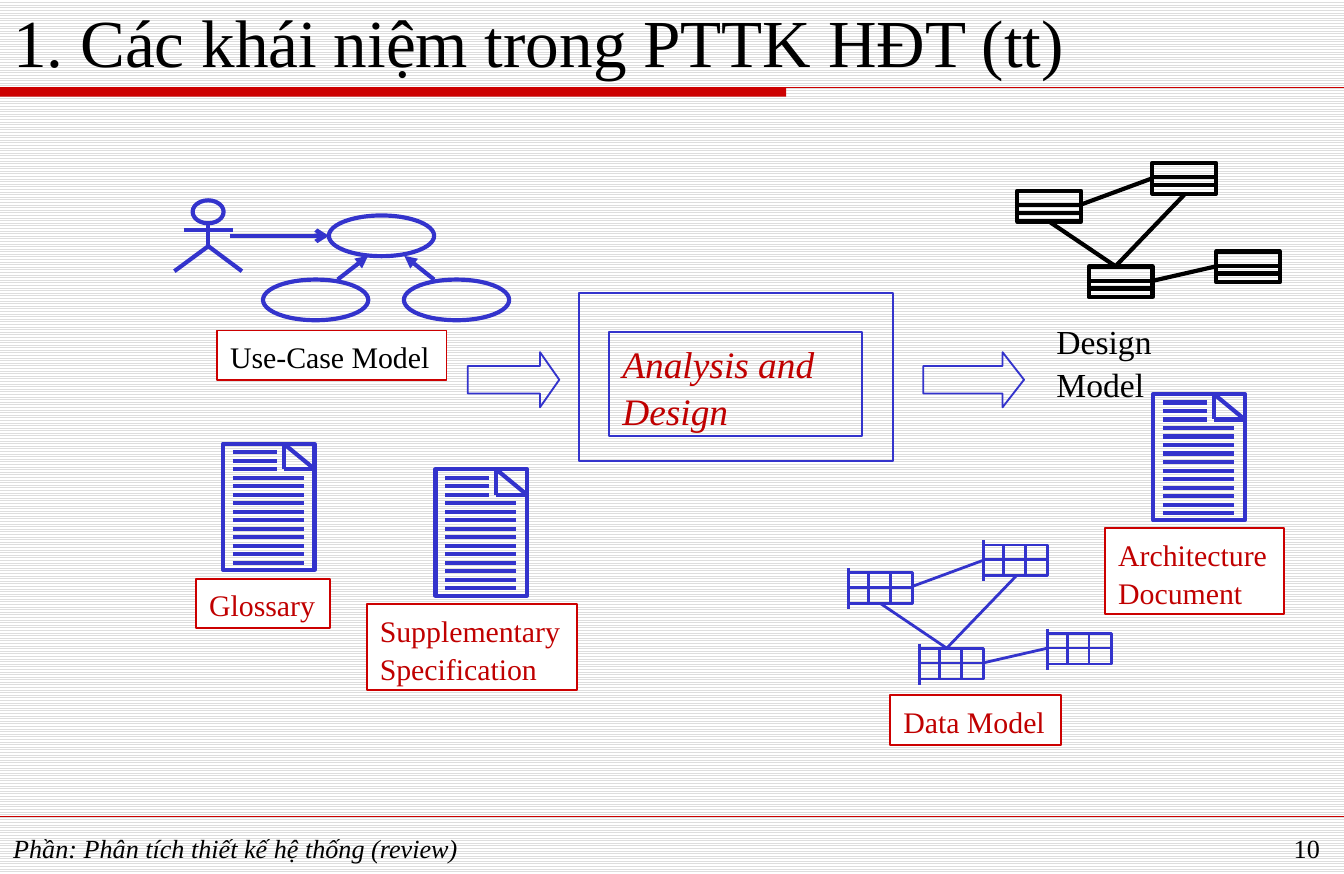
from lxml import etree
from pptx import Presentation
from pptx.dml.color import RGBColor
from pptx.enum.dml import MSO_PATTERN
from pptx.enum.shapes import MSO_CONNECTOR as Connector, MSO_SHAPE as Preset
from pptx.enum.text import MSO_ANCHOR as Anchor, PP_ALIGN as Align
from pptx.oxml.ns import qn
from pptx.util import Pt

COLORS = {"red": "CC0000", "label": "C00000", "blue": "3333CC", "black": "000000",
          "white": "FFFFFF", "stripe": "DDDDDD"}
FONT = "Times New Roman"


def add_line(x1, y1, x2, y2, color="blue", width=2.25, arrow=None):
    connector = slide.shapes.add_connector(Connector.STRAIGHT, Pt(x1), Pt(y1), Pt(x2), Pt(y2))
    connector.line.color.rgb = RGBColor.from_string(COLORS[color])
    connector.line.width = Pt(width)
    if arrow:
        etree.SubElement(connector.line._get_or_add_ln(), qn("a:tailEnd"), type=arrow)
    etree.SubElement(connector._element.spPr, qn("a:effectLst"))


def add_box(preset, x, y, w, h, color="blue", width=2.25, fill=None):
    shape = slide.shapes.add_shape(preset, Pt(x), Pt(y), Pt(w), Pt(h))
    shape.shadow.inherit = False
    if fill:
        shape.fill.solid()
        shape.fill.fore_color.rgb = RGBColor.from_string(COLORS[fill])
    else:
        shape.fill.background()
    shape.line.color.rgb = RGBColor.from_string(COLORS[color])
    shape.line.width = Pt(width)
    return shape


presentation = Presentation()
presentation.slide_width = Pt(720)
presentation.slide_height = Pt(468)
slide = presentation.slides.add_slide(presentation.slide_layouts[6])

background = slide.background.fill
background.patterned()
background.pattern = MSO_PATTERN.LIGHT_HORIZONTAL
background.fore_color.rgb = RGBColor.from_string(COLORS["stripe"])
background.back_color.rgb = RGBColor.from_string(COLORS["white"])

title_bar = add_box(Preset.RECTANGLE, 0, 46.8, 421.2, 5, "red", 0.75, "red")
title_bar.line.fill.background()
add_line(0, 46.8, 720, 46.8, "red", 0.75)
add_line(0, 437, 720, 437, "red", 0.25)

for x, y in [(119.5, 237.6), (233.3, 251.3), (617.8, 211)]:
    add_box(Preset.RECTANGLE, x, y, 49, 67.7)
    fold_x, fold_y, right = x + 32.5, y + 13.6, x + 49
    add_line(fold_x, y, right, fold_y)
    add_line(fold_x, y, fold_x, fold_y)
    add_line(right, fold_y, fold_x, fold_y)
    for row in range(14):
        row_y = y + 4.6 + row * 4.55
        add_line(x + 5.2, row_y, x + (28.8 if row < 3 else 43.3), row_y)

add_box(Preset.OVAL, 103.2, 107.3, 16.6, 12.3)
add_line(111.6, 119.6, 111.6, 131.8)
add_line(98.6, 123.2, 124.6, 123.2)
legs_builder = slide.shapes.build_freeform(Pt(93.4), Pt(145.2))
legs_builder.add_line_segments([(Pt(111.6), Pt(131.8)), (Pt(129.6), Pt(145.2))], close=False)
legs = legs_builder.convert_to_shape()
legs.shadow.inherit = False
legs.fill.background()
legs.line.color.rgb = RGBColor.from_string(COLORS["blue"])
legs.line.width = Pt(2.25)

for x, y in [(176.2, 115.4), (140.9, 149.7), (216.4, 149.7)]:
    add_box(Preset.OVAL, x, y, 56.4, 21.8)
add_line(123.1, 126.3, 176.2, 126.3, arrow="arrow")
add_line(180.9, 149.7, 197.2, 137, arrow="triangle")
add_line(232.6, 149.7, 216.6, 137, arrow="triangle")

NODES = [(545, 102.2), (617.3, 87.3), (583.2, 142.7), (651.5, 134.7)]
LINKS = [(597.6, 142.6, 562.3, 118.8), (579, 109.6, 617, 95.6),
         (617, 150.5, 651.6, 142.6), (597.6, 142.6, 635, 103.7)]
NODE_W, NODE_H = 34.2, 16.4
for model, dx, dy, color, width in [("data", -90.4, 204.5, "blue", 1.5),
                                    ("design", 0, 0, "black", 2.25)]:
    for x1, y1, x2, y2 in LINKS:
        add_line(x1 + dx, y1 + dy, x2 + dx, y2 + dy, color, width)
    for node_x, node_y in NODES:
        x, y = node_x + dx, node_y + dy
        add_box(Preset.RECTANGLE, x, y, NODE_W, NODE_H, color, width)
        for offset in (7.8,) if model == "data" else (7.7, 11.8):
            add_line(x, y + offset, x + NODE_W, y + offset, color, width)
        if model == "data":
            add_line(x, y - 2.6, x, y + 19.4, color, width)
            for offset in (10.6, 22.3):
                add_line(x + offset, y, x + offset, y + NODE_H, color, width)

add_box(Preset.RECTANGLE, 310.3, 157, 168, 90, width=1)
for x, w, head in [(250.6, 49, 0.35), (494.6, 54, 0.39)]:
    flow_arrow = add_box(Preset.RIGHT_ARROW, x, 188.6, w, 29.5, width=1)
    flow_arrow.adjustments[1] = head

FRAMED = {"border": "red", "fill": "white", "size": 16, "color": "label", "wrap": False,
          "spacing": 1.05}
TEXTS = [
    (["1. Các khái niệm trong PTTK HĐT (tt)"], 0, 5, 720, 41.8,
     {"size": 36, "anchor": Anchor.BOTTOM}),
    (["Phần: Phân tích thiết kế hệ thống (review)"], 0, 442.1, 588.2, 21, {"italic": True}),
    (["10"], 642.2, 442.1, 72, 22, {"align": Align.RIGHT}),
    (["Use-Case Model"], 116.2, 177, 123, 26.6, {**FRAMED, "color": "black"}),
    (["Glossary"], 105, 309.9, 72, 26.6, FRAMED),
    (["Supplementary", "Specification"], 196.4, 323.6, 112.6, 46, FRAMED),
    (["Architecture", "Document"], 592, 282.9, 95.8, 46, FRAMED),
    (["Data Model"], 476.9, 372.4, 91.4, 26.6, FRAMED),
    (["Analysis and Design"], 326.3, 177.8, 135.4, 55.6,
     {"border": "blue", "size": 20, "color": "label", "italic": True, "spacing": 1.05}),
    (["Design Model"], 558.9, 167.2, 86, 51, {"size": 18, "spacing": 1.06}),
]
for lines, x, y, w, h, style in TEXTS:
    if "border" in style:
        shape = add_box(Preset.RECTANGLE, x, y, w, h, style["border"], 1, style.get("fill"))
    else:
        shape = slide.shapes.add_textbox(Pt(x), Pt(y), Pt(w), Pt(h))
    frame = shape.text_frame
    frame.word_wrap = style.get("wrap", True)
    frame.vertical_anchor = style.get("anchor", Anchor.TOP)
    frame.text = "\n".join(lines)
    font_values = {"name": FONT, "size": Pt(style.get("size", 14)),
                   "italic": style.get("italic", False)}
    for paragraph in frame.paragraphs:
        paragraph.alignment = style.get("align", Align.LEFT)
        paragraph.line_spacing = style.get("spacing", 1.0)
        font = paragraph.runs[0].font
        for name, value in font_values.items():
            setattr(font, name, value)
        font.color.rgb = RGBColor.from_string(COLORS[style.get("color", "black")])

presentation.save("out.pptx")
